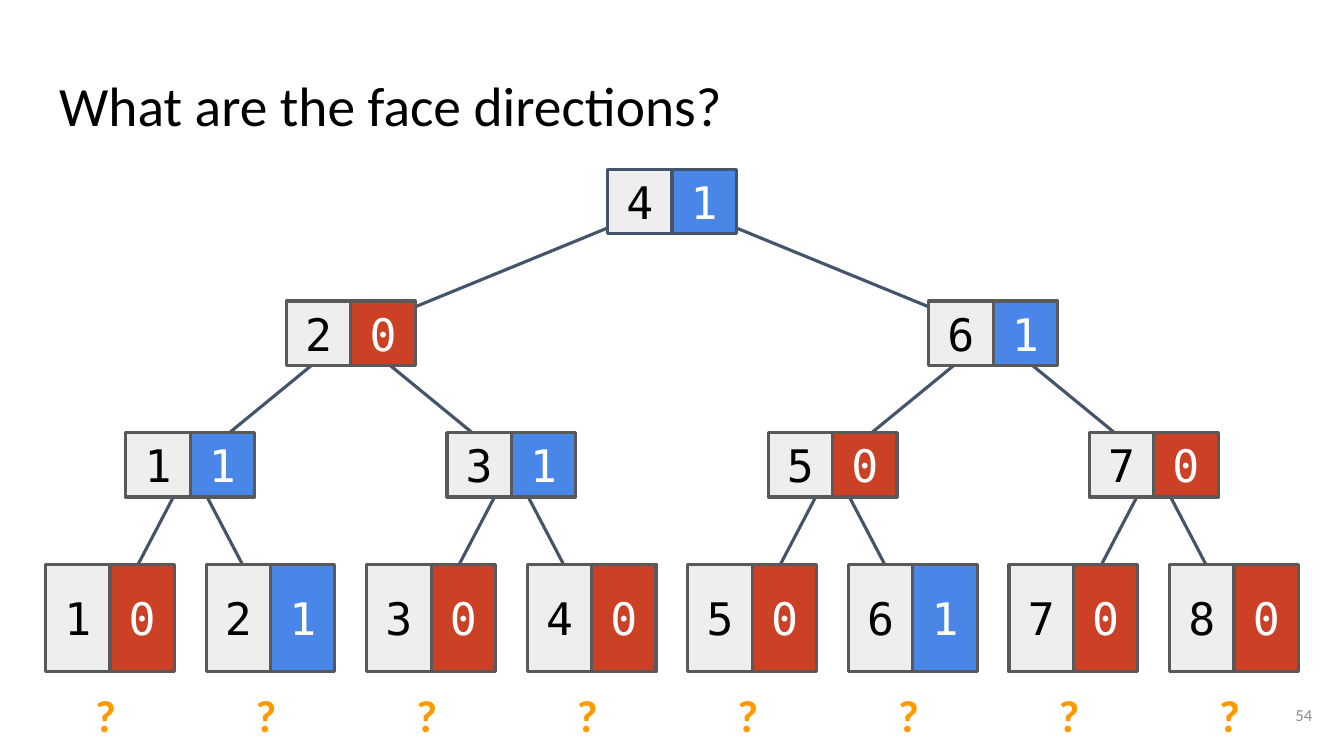
import pptx
import pptx.dml.color
import pptx.enum.shapes
import pptx.enum.text
import pptx.oxml
import pptx.util

Pt = pptx.util.Pt
ALIGN = pptx.enum.text.PP_ALIGN
ANCHOR = pptx.enum.text.MSO_ANCHOR

COLORS = {
    "black": "000000", "white": "FFFFFF", "key": "EEEEEE",
    "0": "CC4125", "1": "4A86E8", "border": "595959",
    "edge": "44546A", "question": "FF9900", "number": "8C8C8C",
}
# Each level lists its nodes as (key, direction)
LEVELS = [
    ["41"],
    ["20", "61"],
    ["11", "31", "50", "70"],
    ["10", "21", "30", "40", "50", "61", "70", "80"],
]
LEAF_GAP = 114.7
LEVEL_GAP = 94
CELL = 46
LEAF_HEIGHT = 77
RIGHT_SIDE = 3


def color(name):
    return pptx.dml.color.RGBColor.from_string(COLORS[name])


def write(shape, text, size=32, font="Calibri", ink="black", bold=False,
          align=ALIGN.LEFT, anchor=ANCHOR.MIDDLE, inset=9.6, spacing=None):
    frame = shape.text_frame
    frame.word_wrap = True
    frame.vertical_anchor = anchor
    frame.margin_left = frame.margin_right = Pt(inset)
    frame.margin_top = frame.margin_bottom = Pt(inset)
    paragraph = frame.paragraphs[0]
    paragraph.text = text
    paragraph.alignment = align
    paragraph.line_spacing = spacing
    paragraph.font.size = Pt(size)
    paragraph.font.name = font
    paragraph.font.bold = bold
    paragraph.font.color.rgb = color(ink)


def add_label(slide, box, text, **form):
    label = slide.shapes.add_textbox(*map(Pt, box))
    write(label, text, **form)


def add_cell(slide, box, text, fill, ink, border):
    cell = slide.shapes.add_shape(
        pptx.enum.shapes.MSO_SHAPE.RECTANGLE, *map(Pt, box))
    cell.shadow.inherit = False
    cell.fill.solid()
    cell.fill.fore_color.rgb = color(fill)
    cell.line.color.rgb = color(border)
    cell.line.width = Pt(2.25)
    write(cell, text, font="DejaVu Sans Mono", ink=ink,
          align=ALIGN.CENTER, inset=0)
    return cell


def add_node(slide, box, node, border):
    """Draw a key beside its direction and return the key cell."""
    left, top, width, height = box
    key, direction = node
    half = width / 2
    key_cell = add_cell(slide, (left, top, half, height), key,
                        "key", "black", border)
    add_cell(slide, (left + half, top, half, height), direction,
             direction, "white", border)
    return key_cell


def add_edge(slide, parent, child):
    edge = slide.shapes.add_connector(
        pptx.enum.shapes.MSO_CONNECTOR.STRAIGHT, 0, 0, 0, 0)
    # Edges join the nodes at the seam between their two cells
    edge.begin_connect(parent, RIGHT_SIDE)
    edge.end_connect(child, RIGHT_SIDE)
    edge.line.color.rgb = color("edge")
    edge.line.width = Pt(2.25)
    properties = edge.element.spPr
    properties.append(properties.makeelement(
        pptx.oxml.ns.qn("a:effectLst"), {}))
    # Send the edge behind the nodes
    slide.shapes.element.insert(2, edge.element)


def add_tree(slide, box):
    left, top, width, _ = box
    middle = left + width / 2
    parents = []
    for depth, nodes in enumerate(LEVELS):
        is_leaf = depth == len(LEVELS) - 1
        gap = LEAF_GAP * len(LEVELS[-1]) / len(nodes)
        height = LEAF_HEIGHT if is_leaf else CELL
        keys = []
        for index, node in enumerate(nodes):
            seam = middle + (index - (len(nodes) - 1) / 2) * gap
            place = (seam - CELL, top + depth * LEVEL_GAP, 2 * CELL, height)
            keys.append(add_node(slide, place, node,
                                 "border" if depth else "edge"))
            if parents:
                add_edge(slide, parents[index // 2], keys[-1])
            if is_leaf:
                add_label(slide, (seam - 20.2, top + 369.3, 40.4, 39.6), "?",
                          ink="question", bold=True)
        parents = keys


def add_heading(slide, box):
    add_label(slide, box, "What are the face directions?", size=39.6,
              anchor=ANCHOR.TOP, spacing=0.9)


def add_page_number(slide, box):
    add_label(slide, box, "54", size=12, ink="number", align=ALIGN.RIGHT)


def main():
    deck = pptx.Presentation()
    deck.slide_width, deck.slide_height = Pt(960), Pt(540)
    slide = deck.slides.add_slide(deck.slide_layouts[6])
    add_heading(slide, (32.7, 46.8, 894.6, 60.2))
    add_tree(slide, (32.7, 121, 894.6, 409))
    add_page_number(slide, (889.5, 489.6, 57.6, 41.3))
    deck.save("out.pptx")


if __name__ == "__main__":
    main()
